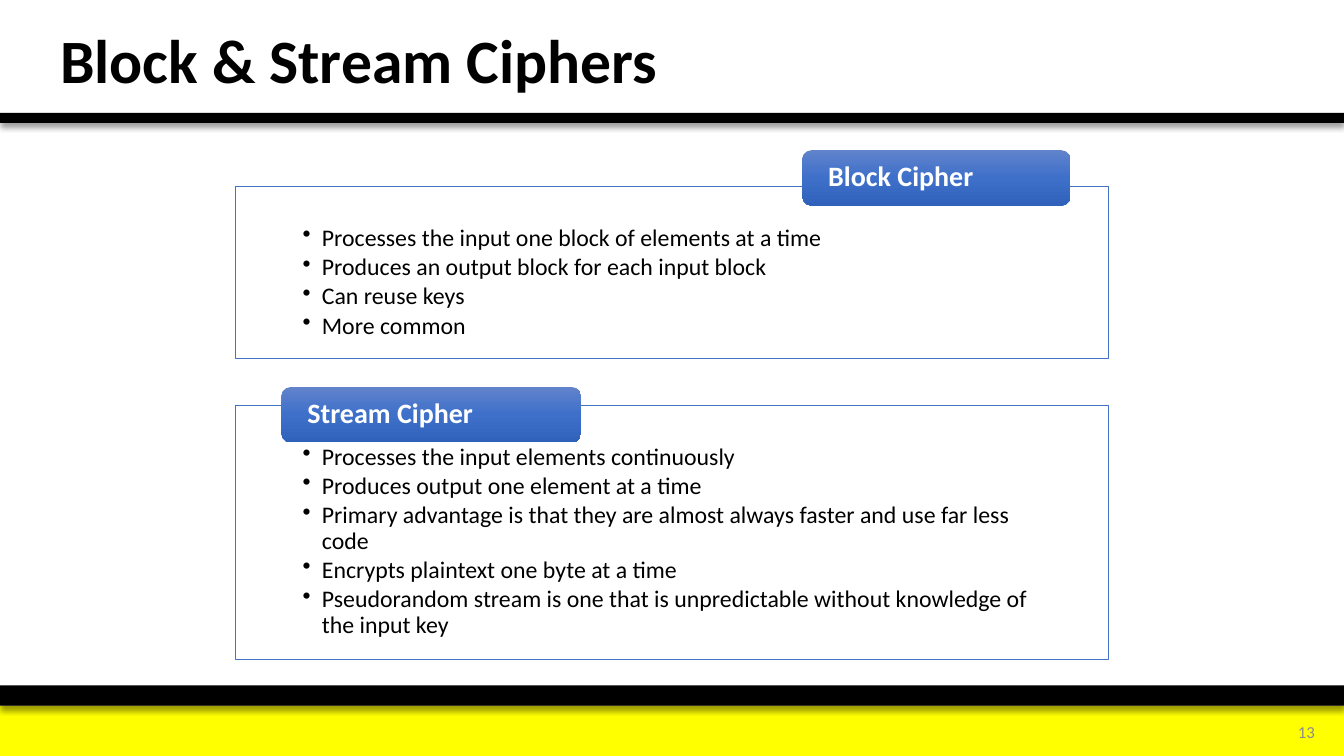
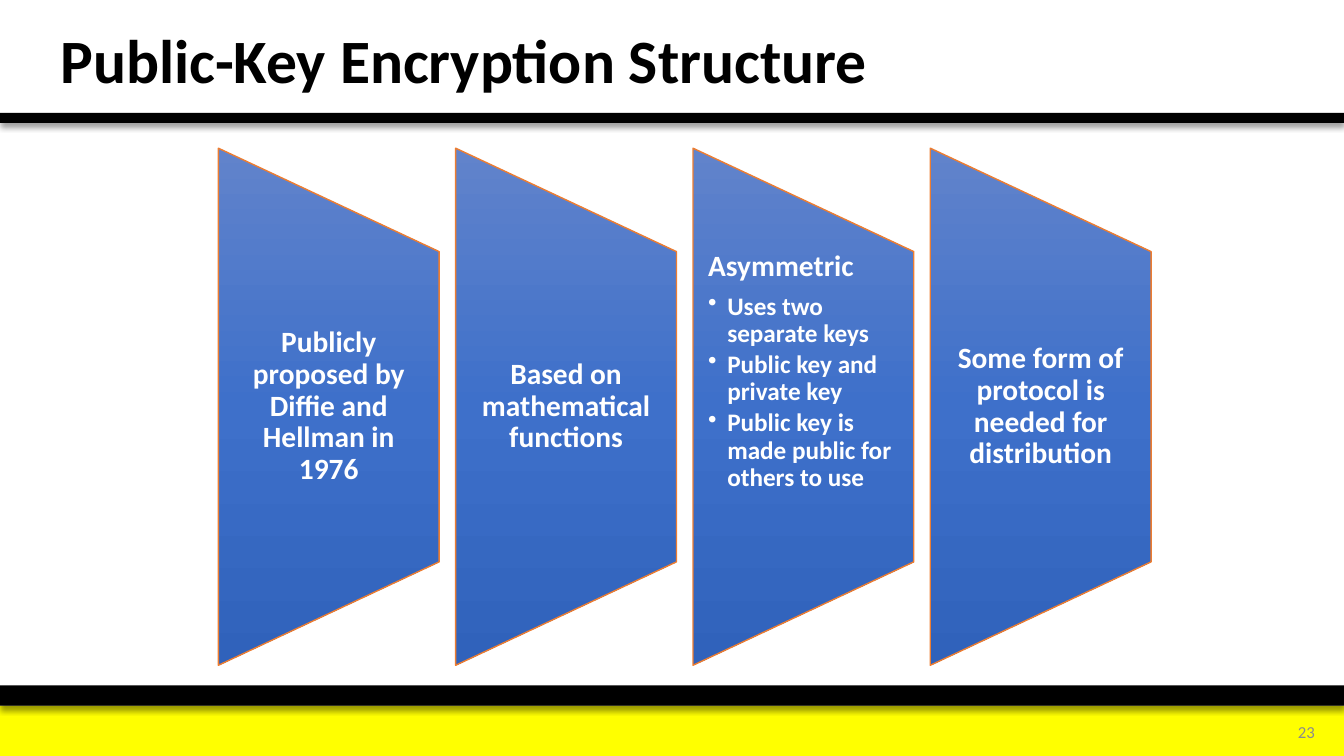
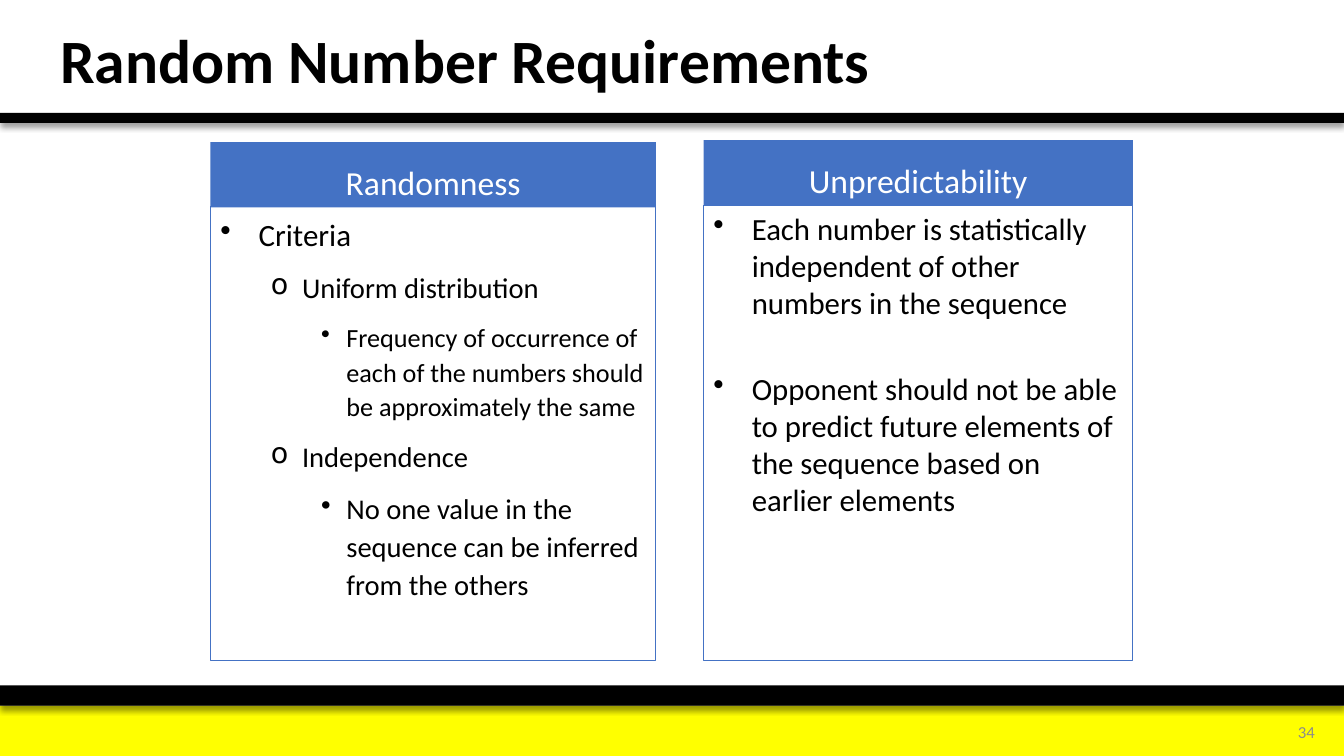
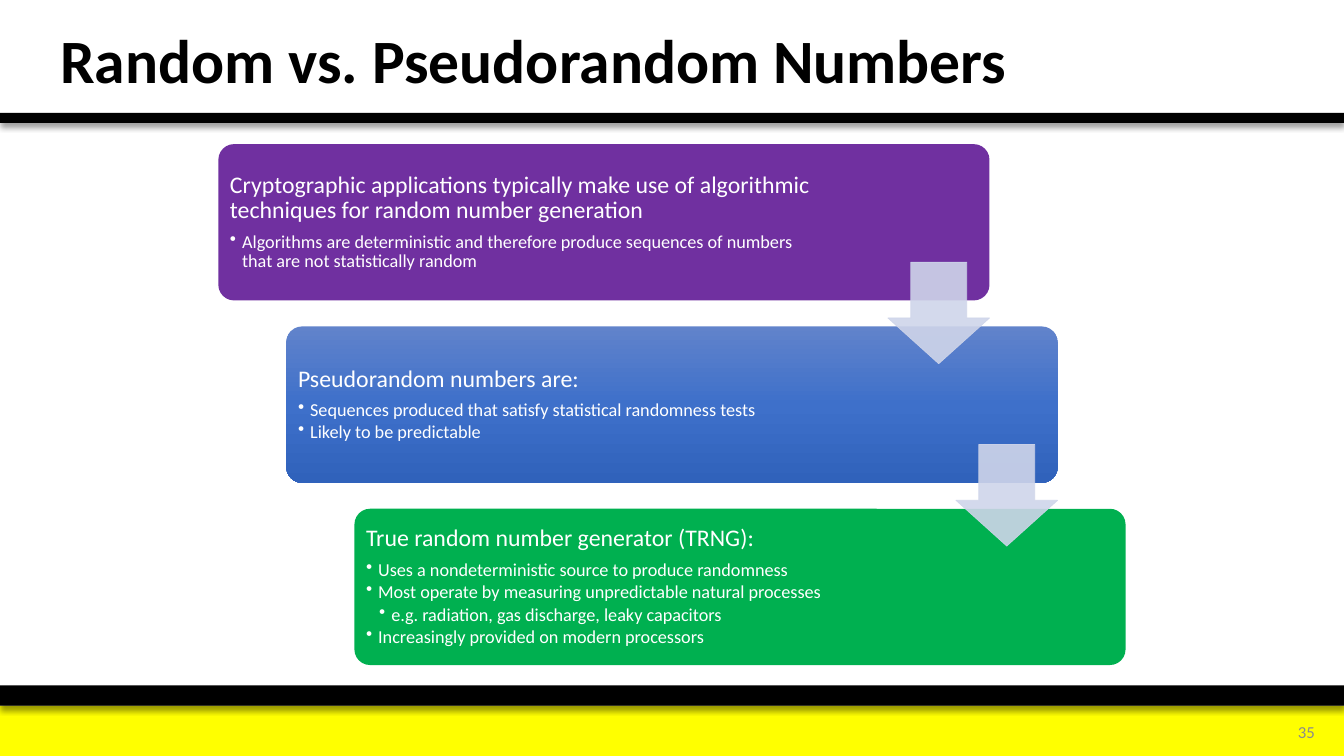
"""Build four cryptography lecture slides with a shared title, bands and footer."""
from dataclasses import dataclass, replace

from lxml.etree import SubElement
from pptx import Presentation
from pptx.dml.color import RGBColor
from pptx.enum.shapes import MSO_SHAPE
from pptx.enum.text import MSO_ANCHOR, PP_ALIGN
from pptx.oxml import parse_xml
from pptx.oxml.ns import nsdecls, qn
from pptx.util import Inches, Pt

COLORS = {
    "black": "000000",
    "white": "FFFFFF",
    "yellow": "FFFF00",
    "number": "8C8C8C",
    "blue": "4472C4",
    "orange": "ED7D31",
    "purple": "7030A0",
    "green": "00B050",
    "arrow": "CFD5EA",
}
GRADIENT = {0: "6183CB", 50: "3E70CA", 100: "3062BB"}
FONT = "Calibri"
DEFAULT_INSETS = (0.1, 0.05, 0.1, 0.05)


@dataclass(frozen=True)
class Box:
    """A rectangle in inches."""
    left: float
    top: float
    width: float
    height: float

    def share(self, left, top, width, height):
        """Return an inner box given in percent of this one."""
        return Box(self.left + self.width * left / 100, self.top + self.height * top / 100,
                   self.width * width / 100, self.height * height / 100)

    def columns(self, count, gap):
        """Split the box into equal columns, with the gap in percent of its width."""
        width = (100 - gap * (count - 1)) / count
        return [self.share(index * (width + gap), 0, width, 100) for index in range(count)]

    def emu(self):
        """Return the four lengths as python-pptx expects them."""
        return [Inches(value) for value in (self.left, self.top, self.width, self.height)]


@dataclass(frozen=True)
class Style:
    """The look of one paragraph; spacing in points, indents in inches."""
    size: float
    color: str = "black"
    bold: bool = False
    align: PP_ALIGN = PP_ALIGN.LEFT
    spacing: float = 0.9
    before: float = 0
    after: float = 0
    bullet: str = ""
    indent: float = 0
    hang: float = 0
    level: int = 0


PAGE = Box(0, 0, 13.33, 7.5)

TITLE = Style(44, bold=True)
NUMBER = Style(12, "number", align=PP_ALIGN.RIGHT, spacing=1)
CARD_ITEM = Style(17, after=2.5, bullet="•", indent=0.19, hang=0.19, level=1)
TAB = Style(20, "white", bold=True)
PILLAR = Style(21, "white", bold=True, align=PP_ALIGN.CENTER)
PILLAR_HEAD = replace(PILLAR, align=PP_ALIGN.LEFT, after=7.35)
PILLAR_ITEM = replace(CARD_ITEM, size=18, color="white", bold=True, after=2.7)
PANEL_HEAD = Style(24, "white", align=PP_ALIGN.CENTER, spacing=1, before=4.8)
TOPIC = Style(22.1, spacing=1.1, before=4.4, after=6, bullet="•", indent=0.38, hang=0.38)
SUBTOPIC = replace(TOPIC, size=20.4, before=4.1, bullet="o", indent=0.81, hang=0.31, level=1)
DETAIL = replace(SUBTOPIC, bullet="•", indent=1.25, hang=0.25, level=2)
SMALL_DETAIL = replace(DETAIL, size=18.7, before=3.7)
STATEMENT = replace(TOPIC, size=22, spacing=1, after=0)
SPACED_STATEMENT = replace(STATEMENT, before=35)
STEP_HEAD = Style(17, "white", after=5.95)
STEP_ITEM = Style(13, "white", after=1.95, bullet="•", indent=0.12, hang=0.12, level=1)
STEP_SUBITEM = replace(STEP_ITEM, indent=0.25, level=2)


def rgb(name):
    """Return a named colour."""
    return RGBColor.from_string(COLORS[name])


def add_gradient(shape):
    """Fill a shape with the vertical blue gradient, upright even when rotated."""
    shape.fill.solid()
    stops = "".join(f'<a:gs pos="{place * 1000}"><a:srgbClr val="{color}"/></a:gs>'
                    for place, color in GRADIENT.items())
    gradient = parse_xml(f'<a:gradFill {nsdecls("a")} rotWithShape="0"><a:gsLst>{stops}</a:gsLst>'
                         '<a:lin ang="5400000" scaled="0"/></a:gradFill>')
    properties = shape._element.spPr
    properties.replace(properties.find(qn("a:solidFill")), gradient)


def add_shadow(shape):
    """Give a band its soft shadow below."""
    effects = shape._element.spPr.find(qn("a:effectLst"))
    shadow = SubElement(effects, qn("a:outerShdw"), blurRad=str(Pt(4)), dist=str(Pt(3)),
                        dir="5400000", algn="t", rotWithShape="0")
    color = SubElement(shadow, qn("a:srgbClr"), val=COLORS["black"])
    SubElement(color, qn("a:alpha"), val="40000")


def add_block(slide, kind, box, fill=None, line=None, weight=0.5):
    """Add a preset shape with a named fill, the gradient or no fill."""
    shape = slide.shapes.add_shape(kind, *box.emu())
    shape.shadow.inherit = False
    if fill == "gradient":
        add_gradient(shape)
    elif fill:
        shape.fill.solid()
        shape.fill.fore_color.rgb = rgb(fill)
    else:
        shape.fill.background()
    if line:
        shape.line.color.rgb = rgb(line)
        shape.line.width = Pt(weight)
    else:
        shape.line.fill.background()
    return shape


def format_paragraph(para, style):
    """Apply a style to a paragraph."""
    para.alignment = style.align
    para.level = style.level
    para.line_spacing = style.spacing
    para.space_before = Pt(style.before)
    para.space_after = Pt(style.after)
    para.font.name = FONT
    para.font.size = Pt(style.size)
    para.font.bold = style.bold
    para.font.color.rgb = rgb(style.color)
    if style.bullet:
        properties = para._p.get_or_add_pPr()
        properties.set("marL", str(Inches(style.indent)))
        properties.set("indent", str(-Inches(style.hang)))
        bullet = properties.makeelement(qn("a:buChar"), {"char": style.bullet})
        properties.find(qn("a:defRPr")).addprevious(bullet)


def write(shape, lines, anchor=MSO_ANCHOR.MIDDLE, insets=DEFAULT_INSETS):
    """Write (style, text) lines into a shape."""
    frame = shape.text_frame
    frame.word_wrap = True
    frame.vertical_anchor = anchor
    (frame.margin_left, frame.margin_top,
     frame.margin_right, frame.margin_bottom) = [Inches(inset) for inset in insets]
    for index, (style, text) in enumerate(lines):
        para = frame.add_paragraph() if index else frame.paragraphs[0]
        para.text = text
        format_paragraph(para, style)


def add_text(slide, box, lines, **options):
    """Add a text box."""
    write(slide.shapes.add_textbox(*box.emu()), lines, **options)


def add_page(deck, title, number):
    """Add a blank slide with the shared bands, title and slide number."""
    slide = deck.slides.add_slide(deck.slide_layouts[6])
    add_block(slide, MSO_SHAPE.RECTANGLE, PAGE.share(0, 93.33, 100, 6.67), "yellow")
    for top, height in ((90.67, 2.67), (14.93, 1.33)):
        add_shadow(add_block(slide, MSO_SHAPE.RECTANGLE, PAGE.share(0, top, 100, height), "black"))
    add_text(slide, PAGE.share(92.87, 94.13, 5.7, 5.33), [(NUMBER, str(number))])
    add_text(slide, PAGE.share(3.75, 0.93, 75, 14.93), [(TITLE, title)])
    return slide


def add_card(slide, box, tab_box, heading, items):
    """Add an outlined list with a heading tab over its top edge."""
    card = add_block(slide, MSO_SHAPE.RECTANGLE, box, "white", "blue")
    write(card, [(CARD_ITEM, item) for item in items], MSO_ANCHOR.TOP, (0.67, 0.39, 0.67, 0.13))
    tab = add_block(slide, MSO_SHAPE.ROUNDED_RECTANGLE, tab_box, "gradient")
    write(tab, [(TAB, heading)], insets=(0.23, 0, 0.23, 0))


def add_pillar(slide, box, lines):
    """Add a sideways trapezoid filling the box, with upright text in its middle."""
    center_left, center_top = box.left + box.width / 2, box.top + box.height / 2
    turned = Box(center_left - box.height / 2, center_top - box.width / 2, box.height, box.width)
    pillar = add_block(slide, MSO_SHAPE.FLOWCHART_MANUAL_OPERATION, turned,
                       "gradient", "orange", 1)
    pillar.rotation = 270
    anchor = MSO_ANCHOR.MIDDLE if len(lines) == 1 else MSO_ANCHOR.TOP
    add_text(slide, box.share(0, 20, 100, 60), lines, anchor=anchor, insets=(0.15, 0, 0.15, 0))


def add_panel(slide, box, heading, lines):
    """Add a header bar above an outlined list."""
    header = add_block(slide, MSO_SHAPE.RECTANGLE, box.share(0, 0, 100, 12.6), "blue")
    write(header, [(PANEL_HEAD, heading)], MSO_ANCHOR.BOTTOM)
    body = add_block(slide, MSO_SHAPE.RECTANGLE, box.share(0, 12.5, 100, 87.5), None, "blue", 0.75)
    write(body, lines, MSO_ANCHOR.TOP)


def add_step(slide, box, fill, lines):
    """Add one rounded step of the staircase."""
    step = add_block(slide, MSO_SHAPE.ROUNDED_RECTANGLE, box, fill)
    step.adjustments[0] = 0.1
    write(step, lines, insets=(0.07, 0.07, 1.7, 0.07))


def add_step_arrow(slide, box):
    """Add the translucent arrow leading down from the right end of a step."""
    side = box.height * 0.65
    arrow_box = Box(box.left + box.width - side, box.top + box.height * 0.755, side, side)
    arrow = add_block(slide, MSO_SHAPE.DOWN_ARROW, arrow_box, "arrow", "arrow")
    arrow.adjustments[0], arrow.adjustments[1] = 0.55, 0.45
    for color in arrow._element.spPr.iter(qn("a:srgbClr")):
        SubElement(color, qn("a:alpha"), val="90000")


def build_ciphers(deck):
    """Build the slide on block and stream ciphers."""
    slide = add_page(deck, "Block & Stream Ciphers", 13)
    add_card(slide, PAGE.share(17.5, 24.67, 65, 22.67), PAGE.share(59.7, 19.87, 19.95, 7.33),
             "Block Cipher", [
                 "Processes the input one block of elements at a time",
                 "Produces an output block for each input block",
                 "Can reuse keys",
                 "More common"])
    add_card(slide, PAGE.share(17.5, 53.6, 65, 33.6), PAGE.share(20.95, 51.2, 22.3, 7.33),
             "Stream Cipher", [
                 "Processes the input elements continuously",
                 "Produces output one element at a time",
                 "Primary advantage is that they are almost always faster and use far less code",
                 "Encrypts plaintext one byte at a time",
                 "Pseudorandom stream is one that is unpredictable without knowledge of "
                 "the input key"])


def build_public_key(deck):
    """Build the slide on public-key encryption."""
    slide = add_page(deck, "Public-Key Encryption Structure", 23)
    pillars = [
        [(PILLAR, "Publicly proposed by Diffie and Hellman in 1976")],
        [(PILLAR, "Based on mathematical functions")],
        [(PILLAR_HEAD, "Asymmetric"),
         (PILLAR_ITEM, "Uses two separate keys"),
         (PILLAR_ITEM, "Public key and private key"),
         (PILLAR_ITEM, "Public key is made public for others to use")],
        [(PILLAR, "Some form of protocol is needed for distribution")],
    ]
    row = PAGE.share(16.25, 19.6, 69.4, 68.4)
    for box, lines in zip(row.columns(len(pillars), 1.77), pillars):
        add_pillar(slide, box, lines)


def build_requirements(deck):
    """Build the slide on random number requirements."""
    slide = add_page(deck, "Random Number Requirements", 34)
    add_panel(slide, PAGE.share(15.66, 18.8, 33.15, 68.53), "Randomness", [
        (TOPIC, "Criteria"),
        (SUBTOPIC, "Uniform distribution"),
        (SMALL_DETAIL, "Frequency of occurrence of each of the numbers should be "
                       "approximately the same"),
        (SUBTOPIC, "Independence"),
        (DETAIL, "No one value in the sequence can be inferred from the others")])
    add_panel(slide, PAGE.share(52.35, 18.53, 31.95, 68.8), "Unpredictability", [
        (STATEMENT, "Each number is statistically independent of other numbers in the sequence"),
        (SPACED_STATEMENT, "Opponent should not be able to predict future elements of the "
                           "sequence based on earlier elements")])


def build_comparison(deck):
    """Build the staircase slide on random and pseudorandom numbers."""
    slide = add_page(deck, "Random vs. Pseudorandom Numbers", 35)
    steps = [
        ("purple", [
            (STEP_HEAD, "Cryptographic applications typically make use of algorithmic "
                        "techniques for random number generation"),
            (STEP_ITEM, "Algorithms are deterministic and therefore produce sequences of "
                        "numbers that are not statistically random")]),
        ("gradient", [
            (STEP_HEAD, "Pseudorandom numbers are:"),
            (STEP_ITEM, "Sequences produced that satisfy statistical randomness tests"),
            (STEP_ITEM, "Likely to be predictable")]),
        ("green", [
            (STEP_HEAD, "True random number generator (TRNG):"),
            (STEP_ITEM, "Uses a nondeterministic source to produce randomness"),
            (STEP_ITEM, "Most operate by measuring unpredictable natural processes"),
            (STEP_SUBITEM, "e.g. radiation, gas discharge, leaky capacitors"),
            (STEP_ITEM, "Increasingly provided on modern processors")]),
    ]
    stairs = PAGE.share(16.25, 19.07, 67.5, 68.9)
    boxes = [stairs.share(7.5 * index, 35 * index, 85, 30) for index in range(len(steps))]
    for box, (fill, lines) in zip(boxes, steps):
        add_step(slide, box, fill, lines)
    for box in boxes[:-1]:
        add_step_arrow(slide, box)


def main():
    """Build and save the deck."""
    deck = Presentation()
    deck.slide_width, deck.slide_height = Inches(PAGE.width), Inches(PAGE.height)
    for build in (build_ciphers, build_public_key, build_requirements, build_comparison):
        build(deck)
    deck.save("out.pptx")


if __name__ == "__main__":
    main()
